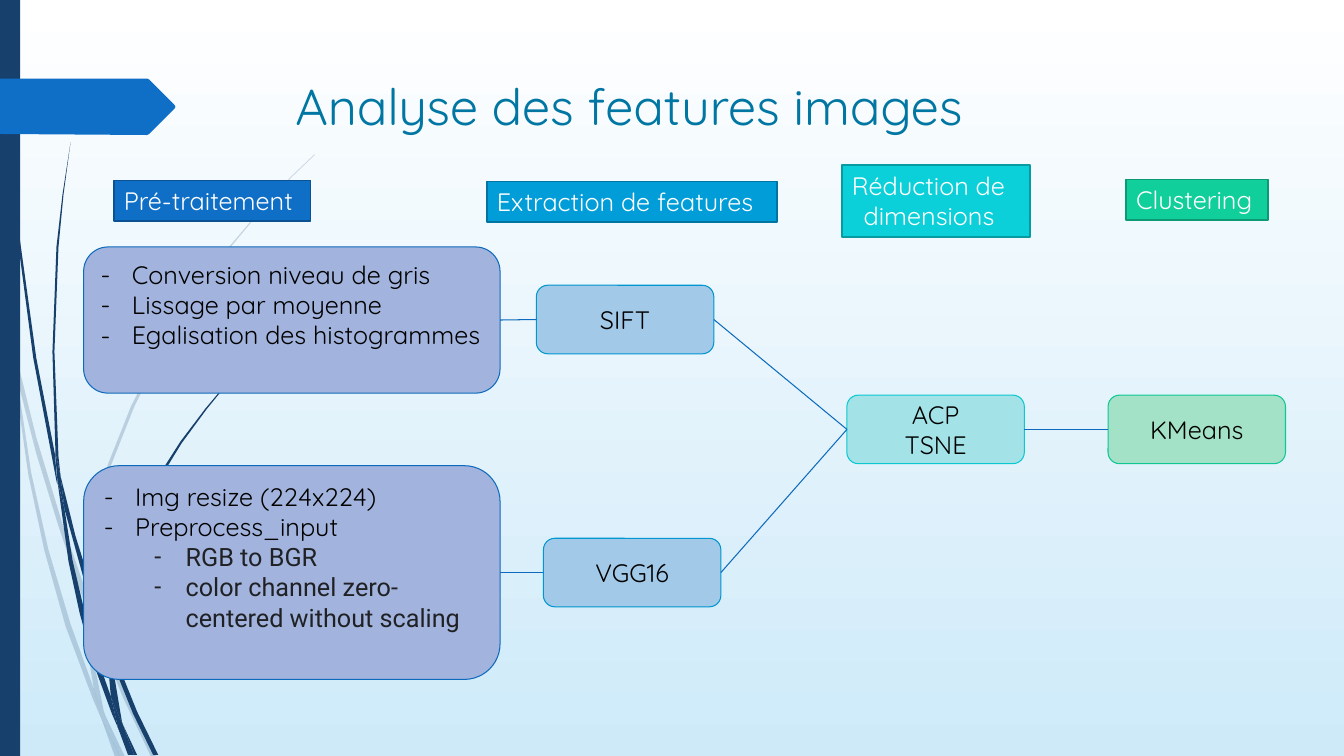
from lxml import etree
from pptx import Presentation
from pptx.dml.color import RGBColor
from pptx.enum import shapes, text
from pptx.oxml import ns
from pptx.util import Inches, Pt

NAVY = RGBColor(0x17, 0x40, 0x6D)
BLUE = RGBColor(0x0F, 0x6F, 0xC6)
LINK_BLUE = RGBColor(0x0E, 0x6A, 0xBD)
TITLE_BLUE = RGBColor(0x00, 0x76, 0xA3)
LAVENDER = RGBColor(0xA2, 0xB4, 0xDD)
PALE_BLUE = RGBColor(0xA3, 0xC9, 0xE8)
SIFT_BLUE = RGBColor(0x00, 0x96, 0xCF)
PALE_CYAN = RGBColor(0xA3, 0xE3, 0xE8)
PALE_GREEN = RGBColor(0xA3, 0xE2, 0xC7)
SKY = RGBColor(0xCE, 0xEA, 0xF9)
WHITE = RGBColor(0xFF, 0xFF, 0xFF)
BLACK = RGBColor(0, 0, 0)
CHARCOAL = RGBColor(0x20, 0x21, 0x24)

RECT = shapes.MSO_SHAPE.RECTANGLE
ROUNDED = shapes.MSO_SHAPE.ROUNDED_RECTANGLE
LEFT, CENTER = text.PP_ALIGN.LEFT, text.PP_ALIGN.CENTER

# Outlines of the grass segments, in inches.
PALE_GRASS = [
    [(0.11, 3.5), (0.09, 3.22), (0, 2.82), (0, 2.99), (0.1, 3.44)],
    [(0.58, 5.22), (0.84, 5.99), (0.85, 5.86), (0.62, 5.2), (0.36, 4.34),
     (0.14, 3.45), (0.17, 3.76), (0.36, 4.5)],
    [(0.92, 6.07), (0.88, 5.96), (0.88, 6.1), (1.23, 6.94), (1.5, 7.51),
     (1.55, 7.51), (1.27, 6.92)],
    [(1.19, 7.51), (1.24, 7.51), (1.05, 7.11)],
    [(0.93, 6.83), (0.7, 6.19), (0.48, 5.45), (0.31, 4.69), (0.17, 3.76), (0.11, 3.5),
     (0.28, 4.7), (0.44, 5.46), (0.65, 6.21), (0.92, 6.93), (1.01, 7.14), (0.99, 7.07)],
    [(0.84, 5.99), (0.87, 6.46), (0.93, 6.83), (0.96, 6.92), (1.05, 7.11),
     (1.03, 7.06), (0.91, 6.46), (0.88, 6.1), (0.88, 6.08)],
    [(0.88, 5.84), (0.95, 5.22), (1.1, 4.62), (1.33, 4.04), (1.6, 3.49), (1.93, 2.95),
     (2.29, 2.45), (2.68, 1.98), (2.9, 1.75), (3.12, 1.54), (3.12, 1.53),
     (2.89, 1.75), (2.68, 1.97), (2.28, 2.44), (1.91, 2.94), (1.58, 3.48),
     (1.3, 4.03), (1.07, 4.61), (0.92, 5.22), (0.85, 5.84), (0.85, 5.86), (0.88, 5.96)],
    [(1.01, 7.14), (1.14, 7.51), (1.19, 7.51)],
    [(0.96, 6.92), (0.93, 6.83), (0.99, 7.07), (1.01, 7.14), (1.19, 7.51), (1.05, 7.11)],
]
DARK_GRASS = [
    [(0.07, 1.1), (0.17, 2.33), (0.33, 3.55), (0.56, 4.77), (0.57, 4.81),
     (0.55, 4.57), (0.55, 4.53), (0.36, 3.55), (0.19, 2.32), (0.08, 1.09),
     (0.05, 0.48), (0.04, 0), (0.03, 0), (0.04, 0.48)],
    [(0.88, 5.92), (1.06, 6.45), (1.06, 6.33), (1.06, 6.31), (0.93, 5.9),
     (0.75, 5.32), (0.6, 4.72), (0.64, 5.05)],
    [(1.13, 6.49), (1.1, 6.41), (1.11, 6.56), (1.32, 7.08), (1.52, 7.49),
     (1.57, 7.49), (1.36, 7.06)],
    [(1.1, 6.91), (0.98, 6.57), (0.84, 6.07), (0.72, 5.56), (0.64, 5.05),
     (0.57, 4.77), (0.68, 5.57), (0.79, 6.08), (0.93, 6.59), (1.11, 7.08),
     (1.17, 7.22), (1.16, 7.17)],
    [(0.6, 4.72), (0.58, 4.53), (0.54, 3.49), (0.58, 2.45), (0.63, 1.93),
     (0.7, 1.41), (0.62, 1.93), (0.56, 2.45), (0.52, 3.49), (0.55, 4.49)],
    [(1.33, 7.49), (1.36, 7.49), (1.22, 7.19)],
    [(0.57, 4.77), (0.64, 5.05), (0.6, 4.72), (0.55, 4.49), (0.55, 4.53)],
    [(1.11, 6.33), (1.15, 5.92), (1.25, 5.52), (1.39, 5.13), (1.58, 4.76), (1.8, 4.4),
     (2.05, 4.06), (2.31, 3.74), (2.45, 3.59), (2.61, 3.44), (2.6, 3.44),
     (2.45, 3.58), (2.31, 3.73), (2.04, 4.05), (1.79, 4.38), (1.56, 4.74),
     (1.37, 5.11), (1.22, 5.51), (1.11, 5.91), (1.06, 6.31), (1.1, 6.41)],
    [(1.17, 7.22), (1.27, 7.49), (1.31, 7.49)],
    [(1.06, 6.45), (1.1, 6.91), (1.16, 7.06), (1.22, 7.19), (1.21, 7.16),
     (1.11, 6.56), (1.09, 6.51)],
    [(1.16, 7.06), (1.1, 6.91), (1.16, 7.17), (1.17, 7.22), (1.3, 7.49),
     (1.33, 7.49), (1.22, 7.19)],
]
MARKER = [(0, 0.78), (1.46, 0.78), (1.48, 0.79), (1.73, 1.04), (1.74, 1.06),
          (1.73, 1.08), (1.48, 1.33), (1.46, 1.34), (0, 1.33)]

HEADERS = [
    ((1.13, 1.79, 1.95, 0.4), ["Pré-traitement"], BLUE, RGBColor(0x0B, 0x52, 0x92)),
    ((4.83, 1.8, 2.88, 0.4), ["Extraction de features"],
     RGBColor(0x00, 0x9D, 0xD9), RGBColor(0x00, 0x74, 0xA1)),
    ((8.35, 1.64, 1.87, 0.71), ["Réduction de", "dimensions"],
     RGBColor(0x0B, 0xD0, 0xD9), RGBColor(0x08, 0x9A, 0xA1)),
    ((11.17, 1.78, 1.41, 0.4), ["Clustering"],
     RGBColor(0x10, 0xCF, 0x9B), RGBColor(0x0C, 0x99, 0x73)),
]


def paint(shape, fill, line=None, width=0.75):
    shape.shadow.inherit = False
    shape.fill.solid()
    shape.fill.fore_color.rgb = fill
    if line is None:
        shape.line.fill.background()
    else:
        shape.line.color.rgb = line
        shape.line.width = Pt(width)


def add_outline(page, points, fill, opacity=100):
    units = [(round(x * 100), round(y * 100)) for x, y in points]
    builder = page.shapes.build_freeform(*units[0], scale=Inches(0.01))
    builder.add_line_segments(units[1:], close=True)
    outline = builder.convert_to_shape()
    paint(outline, fill)
    if opacity < 100:
        color = outline._element.spPr.find(".//" + ns.qn("a:srgbClr"))
        etree.SubElement(color, ns.qn("a:alpha"), val=str(opacity * 1000))


def add_block(page, kind, area, fill, line=None, width=0.75):
    block = page.shapes.add_shape(kind, *map(Inches, area))
    paint(block, fill, line, width)
    block.text_frame.word_wrap = True
    return block


def write(paragraph, words, color, align=LEFT, font="Quicksand", size=18):
    paragraph.text = words
    paragraph.alignment = align
    paragraph.font.name = font
    paragraph.font.size = Pt(size)
    paragraph.font.color.rgb = color


def paragraphs(frame, count):
    """Return the frame's paragraphs after growing it to count of them."""
    for _ in range(count - 1):
        frame.add_paragraph()
    return frame.paragraphs


def add_header(page, area, lines, fill, line):
    frame = add_block(page, RECT, area, fill, line, 1.25).text_frame
    frame.vertical_anchor = text.MSO_ANCHOR.TOP
    if len(lines) > 1:
        frame.margin_right = Inches(0.24)
    for index, paragraph in enumerate(paragraphs(frame, len(lines))):
        write(paragraph, lines[index], WHITE, CENTER if index else LEFT)


def add_step_list(page, area, steps):
    box = add_block(page, ROUNDED, area, LAVENDER, LINK_BLUE)
    frame = box.text_frame
    frame.vertical_anchor = text.MSO_ANCHOR.TOP
    for paragraph, (level, words) in zip(paragraphs(frame, len(steps)), steps):
        font, color = ("Roboto", CHARCOAL) if level else ("Quicksand", BLACK)
        paragraph.level = level
        properties = paragraph._p.get_or_add_pPr()
        properties.set("marL", str(Inches(0.31 + 0.5 * level)))
        properties.set("indent", str(Inches(-0.31)))
        etree.SubElement(properties, ns.qn("a:buFont"), typeface=font)
        etree.SubElement(properties, ns.qn("a:buChar"), char="-")
        write(paragraph, words, color, font=font)
    return box


def add_method(page, left, top, lines, fill, line):
    box = add_block(page, ROUNDED, (left, top, 1.76, 0.68), fill, line)
    box.text_frame.vertical_anchor = text.MSO_ANCHOR.MIDDLE
    for paragraph, words in zip(paragraphs(box.text_frame, len(lines)), lines):
        write(paragraph, words, BLACK, CENTER)
    return box


def link(page, source, target):
    """Join the right side of source to the left side of target."""
    y = target.top + target.height // 2
    start = source.left + source.width
    connector = page.shapes.add_connector(
        shapes.MSO_CONNECTOR.STRAIGHT, start, y, target.left, y)
    connector.begin_connect(source, 3)
    connector.end_connect(target, 1)
    connector.line.color.rgb = LINK_BLUE
    connector.line.width = Pt(0.75)
    etree.SubElement(connector._element.spPr, ns.qn("a:effectLst"))


def add_title(page, words):
    title = page.shapes.title
    title.left, title.top, title.width, title.height = map(
        Inches, (2.83, 0.69, 9.75, 1.4))
    frame = title.text_frame
    frame.vertical_anchor = text.MSO_ANCHOR.TOP
    frame.auto_size = text.MSO_AUTO_SIZE.NONE
    write(frame.paragraphs[0], words, TITLE_BLUE, size=36)


def add_backdrop(page):
    fill = page.background.fill
    fill.gradient()
    fill.gradient_angle = 270
    for stop, color in zip(fill.gradient_stops, (WHITE, SKY)):
        stop.color.rgb = color
    for grass, opacity in ((PALE_GRASS, 20), (DARK_GRASS, 100)):
        for points in grass:
            add_outline(page, points, NAVY, opacity)
    add_block(page, RECT, (0, 0, 0.2, 7.5), NAVY)
    add_outline(page, MARKER, BLUE)


def main():
    deck = Presentation()
    deck.slide_width, deck.slide_height = Inches(13.33), Inches(7.5)
    page = deck.slides.add_slide(deck.slide_layouts[5])
    add_backdrop(page)
    add_title(page, "Analyse des features images")
    gray_steps = add_step_list(page, (0.83, 2.45, 4.13, 1.45), [
        (0, "Conversion niveau de gris"), (0, "Lissage par moyenne"),
        (0, "Egalisation des histogrammes")])
    resize_steps = add_step_list(page, (0.83, 4.62, 4.13, 2.12), [
        (0, "Img resize (224x224)"), (0, "Preprocess_input"), (1, "RGB to BGR"),
        (1, "color channel zero-centered without scaling")])
    for header in HEADERS:
        add_header(page, *header)
    sift = add_method(page, 5.32, 2.83, ["SIFT"], PALE_BLUE, SIFT_BLUE)
    vgg = add_method(page, 5.39, 5.34, ["VGG16"], PALE_BLUE, SIFT_BLUE)
    reduction = add_method(page, 8.4, 3.92, ["ACP", "TSNE"], PALE_CYAN,
                           RGBColor(0x0B, 0xC7, 0xCF))
    kmeans = add_method(page, 10.99, 3.92, ["KMeans"], PALE_GREEN,
                        RGBColor(0x0F, 0xC6, 0x94))
    for source, target in ((sift, reduction), (vgg, reduction), (reduction, kmeans),
                           (gray_steps, sift), (resize_steps, vgg)):
        link(page, source, target)
    deck.save("out.pptx")


if __name__ == "__main__":
    main()
